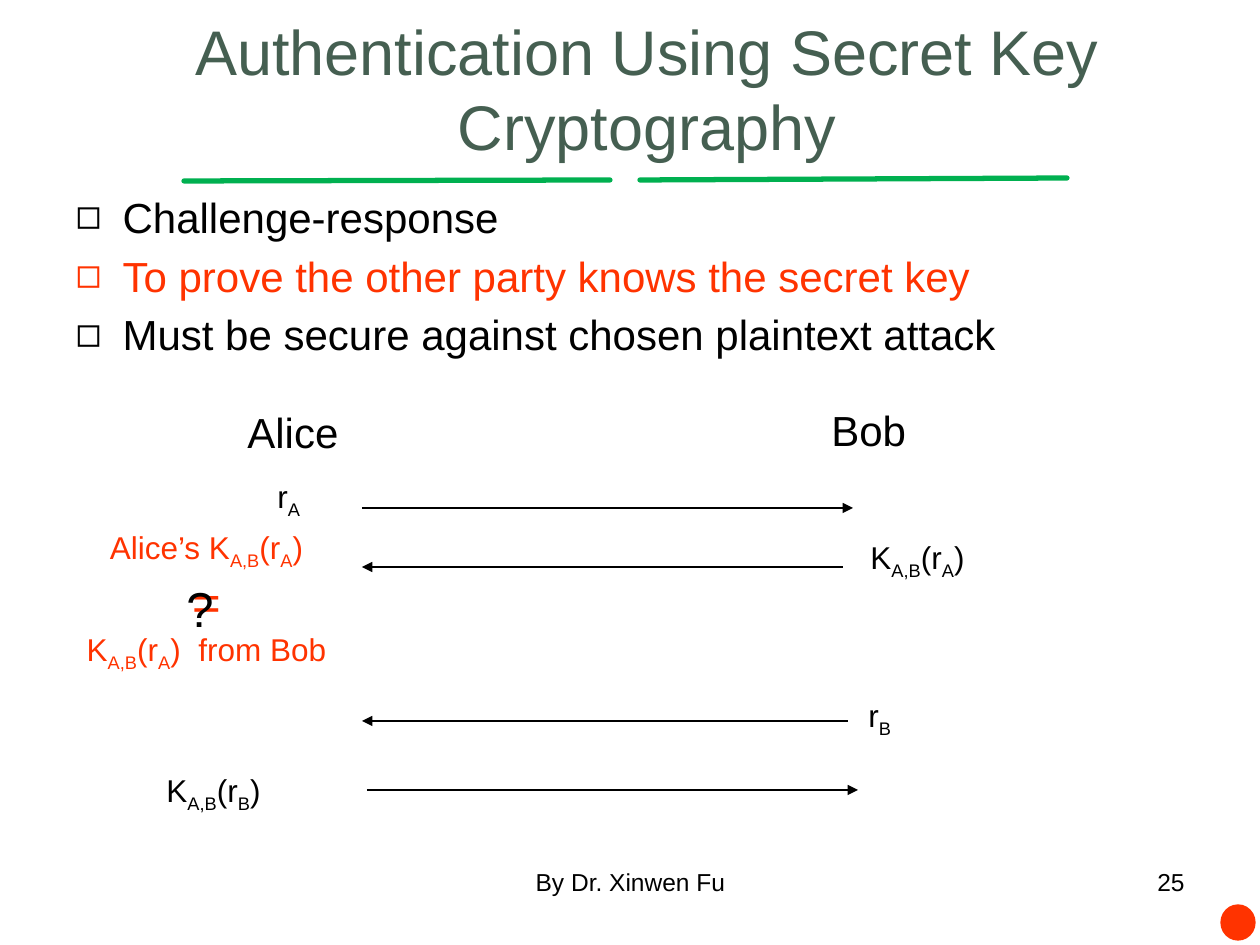
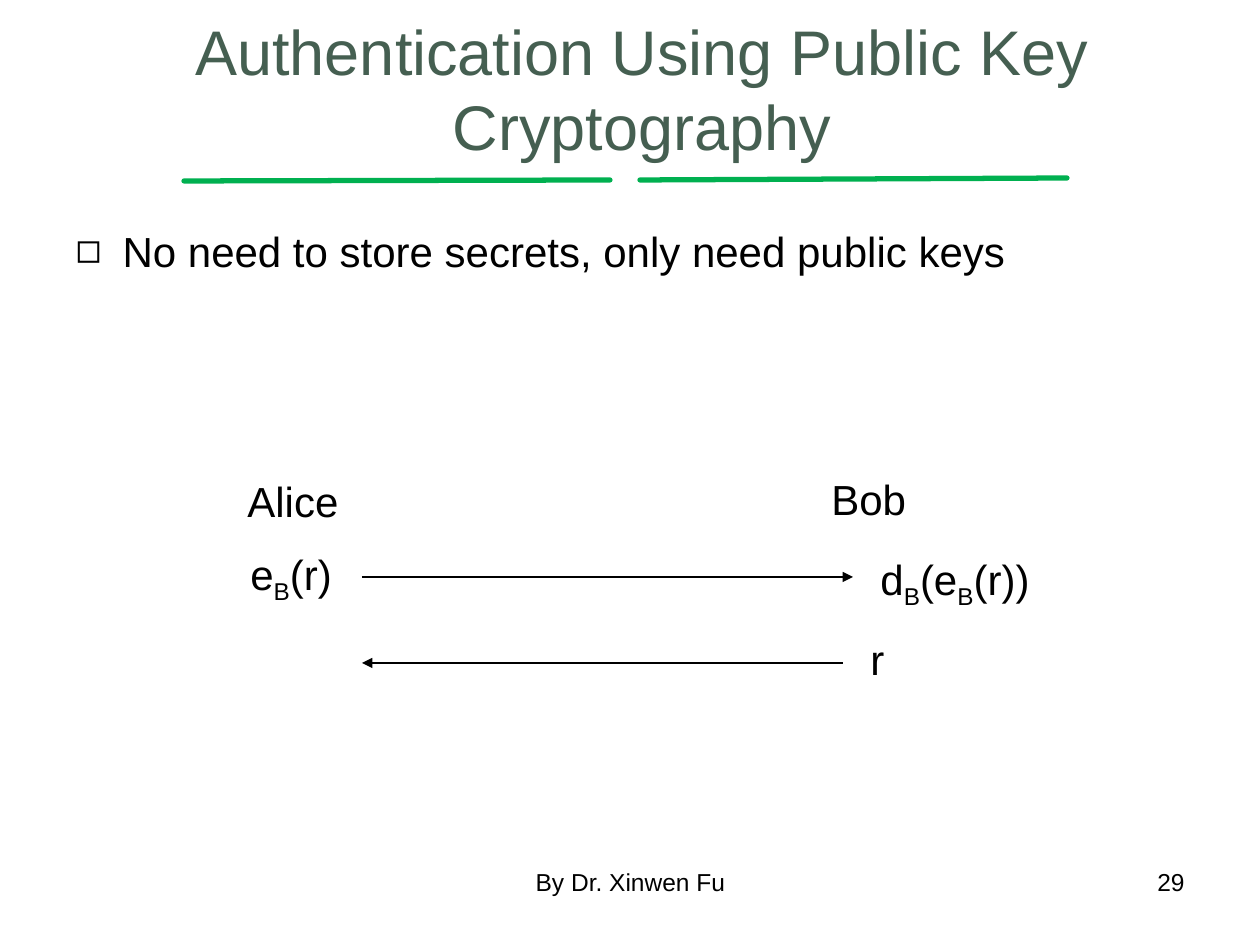
from lxml import etree
from pptx import Presentation
from pptx.dml.color import RGBColor
from pptx.enum.shapes import MSO_CONNECTOR, MSO_SHAPE
from pptx.enum.text import MSO_ANCHOR, MSO_AUTO_SIZE, PP_ALIGN
from pptx.oxml.ns import qn
from pptx.util import Emu, Pt

LEFT, CENTER, RIGHT = PP_ALIGN.LEFT, PP_ALIGN.CENTER, PP_ALIGN.RIGHT
TOP, MIDDLE = MSO_ANCHOR.TOP, MSO_ANCHOR.MIDDLE
NO_AUTOFIT = MSO_AUTO_SIZE.NONE
STRAIGHT, OVAL = MSO_CONNECTOR.STRAIGHT, MSO_SHAPE.OVAL

PX_PER_INCH = 126
SLIDE_WIDTH, SLIDE_HEIGHT = 1260, 945
FONT = "Arial"
BLACK, RED, GREEN, TITLE_GREEN = "000000", "FF3300", "00B050", "455F51"
TITLE_RULES = [(184, 181, 610, 180), (640, 180, 1067, 178)]
LIFELINE_LEFT, LIFELINE_RIGHT = 362, 853


def px(length):
    """Turn pixels into EMU."""
    return Emu(round(length * 914400 / PX_PER_INCH))


def color(hex_value):
    """Turn a hex string into a colour."""
    return RGBColor.from_string(hex_value)


def place(shape, left, top, width, height):
    """Move and size a shape in pixels."""
    shape.left, shape.top = px(left), px(top)
    shape.width, shape.height = px(width), px(height)


def write(paragraph, text, size=18, hex_color=BLACK, align=LEFT):
    """Fill a paragraph; every second piece between bars is a subscript."""
    paragraph.alignment = align
    for index, piece in enumerate(text.split("|")):
        if not piece:
            continue
        run = paragraph.add_run()
        run.text = piece
        run.font.name = FONT
        run.font.size = Pt(size)
        run.font.color.rgb = color(hex_color)
        if index % 2:
            run.font._element.set("baseline", "-25000")


def prepare_frame(shape, wrap=True, anchor=TOP):
    """Set wrapping and anchoring and return the text frame."""
    frame = shape.text_frame
    frame.auto_size = NO_AUTOFIT
    frame.word_wrap = wrap
    frame.vertical_anchor = anchor
    return frame


def add_label(slide, text, left, top, width, height, wrap=True, **text_format):
    """Add a text box with one paragraph."""
    box = slide.shapes.add_textbox(px(left), px(top), px(width), px(height))
    write(prepare_frame(box, wrap).paragraphs[0], text, **text_format)


def add_line(slide, start_x, start_y, end_x, end_y, hex_color=BLACK, width=1,
             arrow=True):
    """Draw a straight line, with an arrowhead or with round ends."""
    connector = slide.shapes.add_connector(
        STRAIGHT, px(start_x), px(start_y), px(end_x), px(end_y))
    connector.line.color.rgb = color(hex_color)
    connector.line.width = Pt(width)
    line = connector.line._get_or_add_ln()
    if arrow:
        etree.SubElement(line, qn("a:tailEnd"), type="triangle")
    else:
        line.set("cap", "rnd")
    etree.SubElement(connector._element.spPr, qn("a:effectLst"))


def add_bullets(slide, items, top, height):
    """Fill the body placeholder with square-bulleted paragraphs."""
    body = slide.placeholders[1]
    place(body, 63, top, 1134, height)
    frame = prepare_frame(body)
    for index, (text, hex_color) in enumerate(items):
        paragraph = frame.add_paragraph() if index else frame.paragraphs[0]
        write(paragraph, text, size=24, hex_color=hex_color)
        properties = paragraph._p.get_or_add_pPr()
        properties.set("marL", str(px(47)))
        properties.set("indent", str(-px(47)))
        etree.SubElement(properties, qn("a:buFont"), typeface=FONT)
        etree.SubElement(properties, qn("a:buChar"), char="◻")


def add_base_slide(presentation, title, title_left, number):
    """Add a slide with its title, green rules, footer and number."""
    slide = presentation.slides.add_slide(presentation.slide_layouts[1])
    for rule in TITLE_RULES:
        add_line(slide, *rule, hex_color=GREEN, width=3, arrow=False)
    place(slide.shapes.title, title_left, 21, 1196, 134)
    frame = prepare_frame(slide.shapes.title, anchor=MIDDLE)
    write(frame.paragraphs[0], title, size=36, hex_color=TITLE_GREEN, align=CENTER)
    add_label(slide, "By Dr. Xinwen Fu", 431, 861, 399, 66, size=14, align=CENTER)
    add_label(slide, number, 903, 861, 294, 66, size=14, align=RIGHT)
    return slide


def add_parties(slide, top):
    """Name the two parties above the message arrows."""
    add_label(slide, "Alice", 235, top + 2, 117, 63, wrap=False, size=24)
    add_label(slide, "Bob", 819, top, 101, 63, wrap=False, size=24)


def add_comparison(slide):
    """Show Alice's check of the answer from Bob."""
    box = slide.shapes.add_textbox(px(30), px(522), px(353), px(193))
    frame = prepare_frame(box)
    lines = [("Alice’s K|A,B|(r|A|)", 18), ("=", 28), ("K|A,B|(r|A|)  from Bob", 18)]
    for index, (text, size) in enumerate(lines):
        paragraph = frame.add_paragraph() if index else frame.paragraphs[0]
        write(paragraph, text, size=size, hex_color=RED, align=CENTER)
    add_label(slide, "?", 174, 572, 53, 72, wrap=False, size=28)


def add_marker(slide):
    """Draw the red dot in the bottom corner."""
    dot = slide.shapes.add_shape(OVAL, px(1221), px(905), px(34), px(35))
    dot.shadow.inherit = False
    dot.fill.solid()
    dot.fill.fore_color.rgb = color(RED)
    dot.line.color.rgb = color(RED)
    dot.line.width = Pt(0.75)


def add_secret_key_slide(presentation):
    """Build the challenge-response slide."""
    slide = add_base_slide(
        presentation, "Authentication Using Secret Key Cryptography", 49, "25")
    add_bullets(slide, [
        ("Challenge-response", BLACK),
        ("To prove the other party knows the secret key", RED),
        ("Must be secure against chosen plaintext attack", BLACK),
    ], 185, 208)
    add_parties(slide, 398)
    add_label(slide, "r|A|", 265, 471, 72, 54)
    add_line(slide, LIFELINE_LEFT, 508, LIFELINE_RIGHT, 508)
    add_label(slide, "K|A,B|(r|A|)", 858, 532, 194, 54)
    add_line(slide, LIFELINE_RIGHT - 10, 567, LIFELINE_LEFT, 567)
    add_label(slide, "r|B|", 856, 690, 72, 54)
    add_line(slide, LIFELINE_RIGHT - 5, 721, LIFELINE_LEFT, 721)
    add_label(slide, "K|A,B|(r|B|)", 154, 765, 194, 54)
    add_line(slide, LIFELINE_LEFT + 5, 790, LIFELINE_RIGHT + 5, 790)
    add_comparison(slide)
    add_marker(slide)


def add_public_key_slide(presentation):
    """Build the public key slide."""
    slide = add_base_slide(
        presentation, "Authentication Using Public Key Cryptography", 44, "29")
    add_bullets(
        slide, [("No need to store secrets, only need public keys", BLACK)], 219, 164)
    add_parties(slide, 467)
    add_label(slide, "e|B|(r)", 238, 542, 137, 63, size=24)
    add_line(slide, LIFELINE_LEFT, 577, LIFELINE_RIGHT, 577)
    add_label(slide, "r", 858, 627, 194, 63, size=24)
    add_line(slide, LIFELINE_RIGHT - 10, 663, LIFELINE_LEFT, 663)
    add_label(slide, "d|B|(e|B|(r))", 868, 547, 194, 63, size=24)


def main():
    """Build and save the presentation."""
    presentation = Presentation()
    presentation.slide_width = px(SLIDE_WIDTH)
    presentation.slide_height = px(SLIDE_HEIGHT)
    add_secret_key_slide(presentation)
    add_public_key_slide(presentation)
    presentation.save("out.pptx")


if __name__ == "__main__":
    main()
